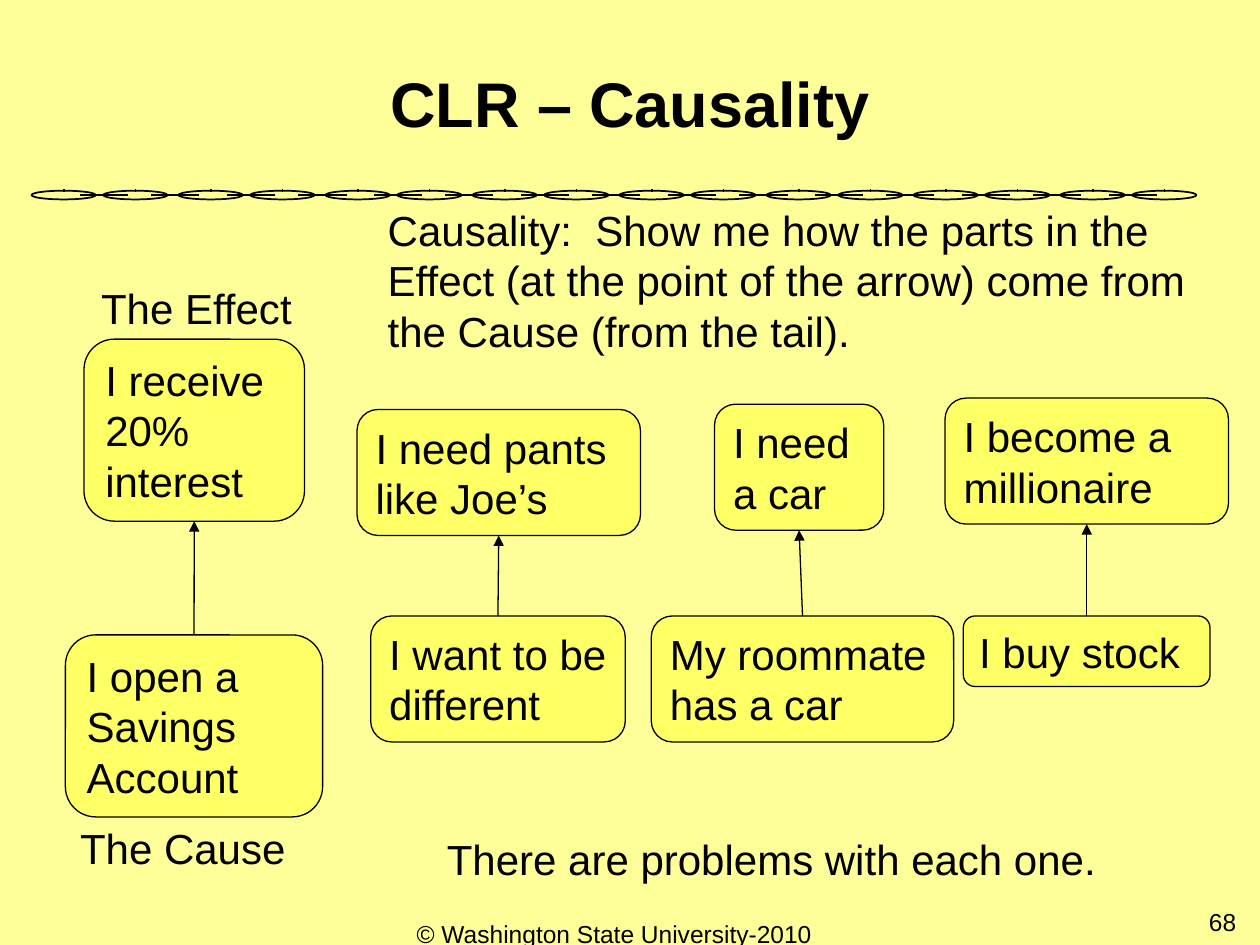
from lxml import etree
from pptx import Presentation
from pptx.dml.color import RGBColor
from pptx.enum.shapes import MSO_CONNECTOR, MSO_SHAPE
from pptx.enum.text import MSO_ANCHOR, PP_ALIGN
from pptx.oxml.ns import qn
from pptx.util import Pt

COLORS = {"background": "FFFF99", "box": "FFFF66", "ink": "000000"}
INK = RGBColor.from_string(COLORS["ink"])


def write(s, text, size=24, align=PP_ALIGN.LEFT, anchor=MSO_ANCHOR.TOP, wrap=True):
    """Fill a shape with one paragraph and return that paragraph."""
    tf = s.text_frame
    tf.word_wrap = wrap
    tf.vertical_anchor = anchor
    p = tf.paragraphs[0]
    p.text = text
    p.alignment = align
    p.font.name = "Arial"
    p.font.size = Pt(size)
    p.font.color.rgb = INK
    return p


def add_line(x1, y1, x2, y2, width):
    s = slide.shapes.add_connector(MSO_CONNECTOR.STRAIGHT, Pt(x1), Pt(y1), Pt(x2), Pt(y2))
    s.line.color.rgb = INK
    s.line.width = Pt(width)
    etree.SubElement(s._element.spPr, qn("a:effectLst"))
    return s


prs = Presentation()
prs.slide_width, prs.slide_height = Pt(720), Pt(540)
slide = prs.slides.add_slide(prs.slide_layouts[6])
slide.background.fill.solid()
slide.background.fill.fore_color.rgb = RGBColor.from_string(COLORS["background"])

# Chain under the title: links come in pairs, 84 pt from pair to pair
LINKS = 16
for i in range(LINKS):
    x = 18 + 84 * (i // 2) + 41 * (i % 2)
    s = slide.shapes.add_shape(MSO_SHAPE.OVAL, Pt(x), Pt(109), Pt(36.75), Pt(5))
    s.shadow.inherit = False
    s.fill.background()
    s.line.color.rgb = INK
    s.line.width = Pt(1)
    add_line(x + 18.4, 108, x + 18.4, 110, 1)
    if i < LINKS - 1:
        add_line(x + 55, 111.5, x + 27.5, 111.5, 1)

s = slide.shapes.add_textbox(Pt(0), Pt(30), Pt(720), Pt(54))
p = write(s, "CLR – Causality", 36, PP_ALIGN.CENTER, MSO_ANCHOR.BOTTOM)
p.font.bold = True
p.line_spacing = 0.9

# Cause and effect pairs: text and (left, top, width, height) of each box
pairs = [
    ("I open a Savings Account", (37.4, 362.8, 147, 104),
     "I receive 20% interest", (48, 193.8, 126, 104)),
    ("I want to be different", (211.8, 352, 145.5, 72),
     "I need pants like Joe’s", (204, 234, 162, 72)),
    ("My roommate has a car", (372.2, 352, 172.8, 72),
     "I need a car", (408.3, 231, 96.7, 72)),
    ("I buy stock", (550.5, 352, 141, 40.3),
     "I become a millionaire", (540, 227.5, 162, 72)),
]
for cause, cause_box, effect, effect_box in pairs:
    boxes = []
    for text, box in ((cause, cause_box), (effect, effect_box)):
        s = slide.shapes.add_shape(MSO_SHAPE.ROUNDED_RECTANGLE, *map(Pt, box))
        s.adjustments[0] = 0.167
        s.shadow.inherit = False
        s.fill.solid()
        s.fill.fore_color.rgb = RGBColor.from_string(COLORS["box"])
        s.line.color.rgb = INK
        s.line.width = Pt(0.75)
        write(s, text, anchor=MSO_ANCHOR.MIDDLE)
        boxes.append(s)
    arrow = add_line(0, 0, 0, 0, 0.75)
    arrow.begin_connect(boxes[0], 0)
    arrow.end_connect(boxes[1], 2)
    etree.SubElement(arrow.line._get_or_add_ln(), qn("a:tailEnd"), type="triangle")

texts = [
    ("Causality:  Show me how the parts in the Effect (at the point of the arrow) "
     "come from the Cause (from the tail).",
     (214.5, 113.2, 487, 94), 24, PP_ALIGN.LEFT),
    ("There are problems with each one.", (248.3, 472.5, 451, 36), 24, PP_ALIGN.LEFT),
    ("68", (546, 515, 167.5, 37.5), 14, PP_ALIGN.RIGHT),
    ("© Washington State University-2010", (216, 521.5, 270, 37.5), 14, PP_ALIGN.CENTER),
]
for text, box, size, align in texts:
    write(slide.shapes.add_textbox(*map(Pt, box)), text, size, align)

labels = [("The Cause", (39.3, 466.6, 130.5, 35.3)),
          ("The Effect", (51.3, 158.4, 122.5, 35.3))]
for text, box in labels:
    s = slide.shapes.add_textbox(*map(Pt, box))
    write(s, text, wrap=False)
    tf = s.text_frame
    tf.margin_left = tf.margin_right = Pt(6.5)
    tf.margin_top = tf.margin_bottom = Pt(3.2)

prs.save("out.pptx")
